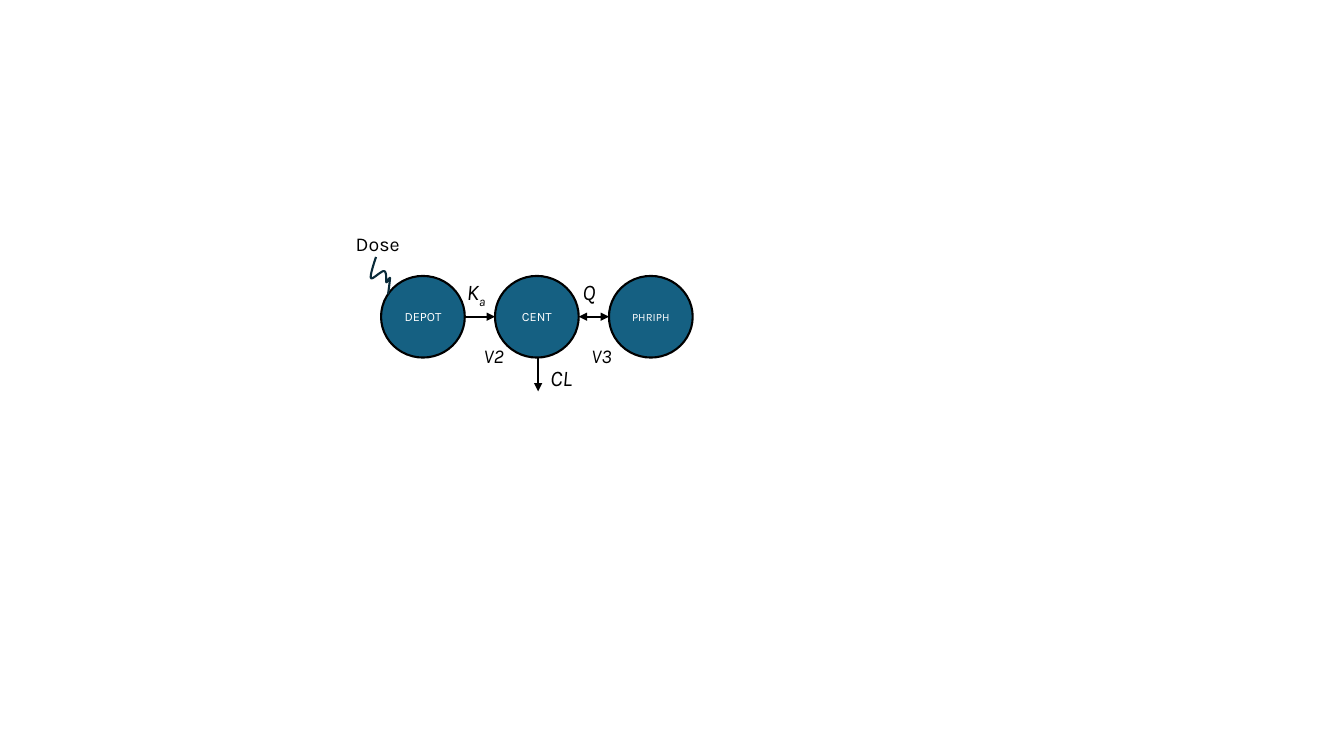
"""Build a slide with a two-compartment dosing model diagram."""
import pptx
import pptx.util
import pptx.dml.color
import pptx.enum.shapes
import pptx.enum.text
import pptx.oxml.ns
import lxml.etree

Pt = pptx.util.Pt
SHAPE = pptx.enum.shapes.MSO_SHAPE
TEXT = pptx.enum.text
BLUE = pptx.dml.color.RGBColor(0x15, 0x60, 0x82)
NAVY = pptx.dml.color.RGBColor(0x09, 0x2A, 0x39)
BLACK = pptx.dml.color.RGBColor(0, 0, 0)
WHITE = pptx.dml.color.RGBColor(255, 255, 255)


def add_run(p, text, size, color, italic=False):
    r = p.add_run()
    r.text = text
    font = {"name": "Karla", "size": Pt(size), "italic": italic}
    for name, value in font.items():
        setattr(r.font, name, value)
    r.font.color.rgb = color
    return r


def set_line(s, color):
    s.line.color.rgb = color
    s.line.width = Pt(1.5)


prs = pptx.Presentation()
prs.slide_width, prs.slide_height = Pt(960), Pt(540)
slide = prs.slides.add_slide(prs.slide_layouts[6])

LEFT, TOP, STEP, WIDTH, HEIGHT = 272.2, 197.1, 81.4, 59.8, 58.3
middle = TOP + HEIGHT / 2
for i, (name, size) in enumerate([("DEPOT", 9), ("CENT", 9), ("PHRIPH", 8)]):
    s = slide.shapes.add_shape(SHAPE.OVAL, Pt(LEFT + i * STEP), Pt(TOP), Pt(WIDTH), Pt(HEIGHT))
    s.shadow.inherit = False
    s.fill.solid()
    s.fill.fore_color.rgb = BLUE
    set_line(s, BLACK)
    tf = s.text_frame
    tf.word_wrap = False
    tf.vertical_anchor = TEXT.MSO_ANCHOR.MIDDLE
    p = tf.paragraphs[0]
    p.alignment = TEXT.PP_ALIGN.CENTER
    add_run(p, name, size, WHITE)

depot_right = LEFT + WIDTH
cent_left = LEFT + STEP
cent_right = cent_left + WIDTH
arrows = [
    (depot_right, middle, cent_left, middle, ["tailEnd"]),
    (cent_right, middle, LEFT + 2 * STEP, middle, ["headEnd", "tailEnd"]),
    (384.4, TOP + HEIGHT, 384.4, 279.6, ["tailEnd"]),
]
for x1, y1, x2, y2, ends in arrows:
    s = slide.shapes.add_connector(
        pptx.enum.shapes.MSO_CONNECTOR.STRAIGHT, Pt(x1), Pt(y1), Pt(x2), Pt(y2))
    set_line(s, BLACK)
    ln = s.line._get_or_add_ln()
    for end in ends:
        lxml.etree.SubElement(ln, pptx.oxml.ns.qn("a:" + end), type="triangle")
    lxml.etree.SubElement(s._element.spPr, pptx.oxml.ns.qn("a:effectLst"))

labels = [
    ("K", 326.2, 195.1, 29.5, 26.6, 16, True),
    ("Q", 409, 195.1, 26.6, 26.6, 16, True),
    ("CL", 385.9, 256.3, 33.8, 26.6, 16, True),
    ("V2", 338.4, 241.9, 30.2, 24.5, 14, True),
    ("V3", 415.4, 241.9, 30.2, 24.5, 14, True),
    ("Dose", 247, 162, 46.1, 24.5, 14, False),
]
for text, x, y, w, h, size, italic in labels:
    s = slide.shapes.add_textbox(Pt(x), Pt(y), Pt(w), Pt(h))
    tf = s.text_frame
    tf.word_wrap = False
    tf.auto_size = TEXT.MSO_AUTO_SIZE.SHAPE_TO_FIT_TEXT
    p = tf.paragraphs[0]
    add_run(p, text, size, BLACK, italic)
    if text == "K":
        r = add_run(p, "a", size, BLACK, italic)
        r._r.get_or_add_rPr().set("baseline", "-25000")

start = (268.6, 183.6)
curves = [
    ((266.4, 190.1), (264.2, 197.3), (265, 198.7)),
    ((265.7, 200.2), (272.9, 193), (274.3, 193.7)),
    ((276.5, 193.7), (275.8, 201.6), (275.8, 201.6)),
    ((276.5, 202.3), (278.6, 197.3), (278.6, 198.7)),
    ((278.6, 200.2), (277.9, 205.2), (277.2, 210.2)),
]
points = [start]
for b, c, d in curves:
    a = points[-1]
    for t in [n / 10 for n in range(1, 11)]:
        u = 1 - t
        points.append(tuple(
            u**3 * a[k] + 3 * u * u * t * b[k] + 3 * u * t * t * c[k] + t**3 * d[k]
            for k in range(2)))
squiggle = slide.shapes.build_freeform(Pt(start[0]), Pt(start[1]))
squiggle.add_line_segments([(Pt(x), Pt(y)) for x, y in points[1:]], close=False)
s = squiggle.convert_to_shape()
s.shadow.inherit = False
s.fill.background()
set_line(s, NAVY)

prs.save("out.pptx")
